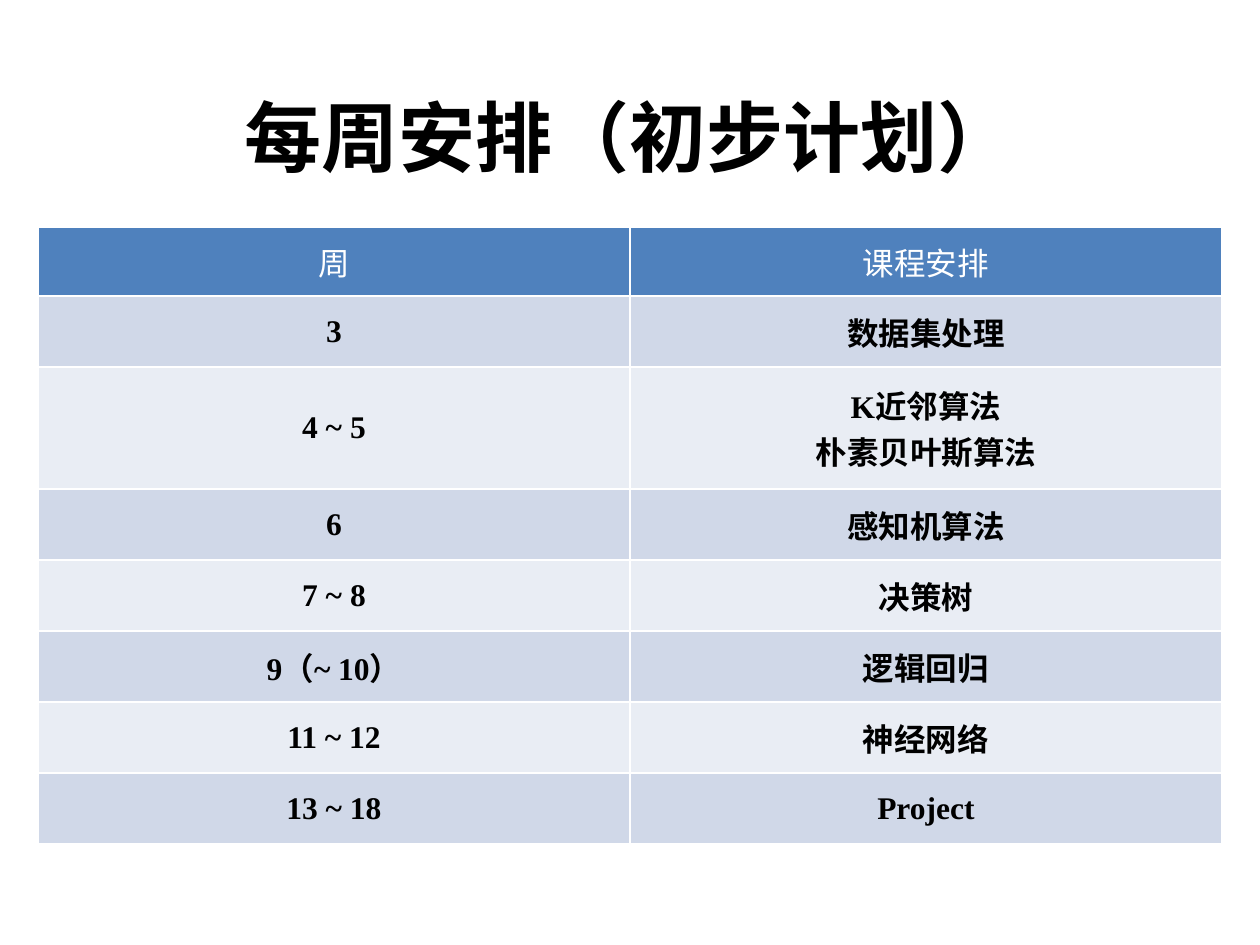
from typing import NamedTuple

from lxml import etree
from pptx import Presentation, util as u
from pptx.dml.color import RGBColor
from pptx.enum import text
from pptx.oxml import ns

PX = u.Inches(1) // 126
BLACK = RGBColor(0x00, 0x00, 0x00)
WHITE = RGBColor(0xFF, 0xFF, 0xFF)
HEADER_BLUE = RGBColor(0x4F, 0x81, 0xBD)
BANDS = (RGBColor(0xE9, 0xED, 0xF4), RGBColor(0xD0, 0xD8, 0xE8))
LATIN_FONT = "Times New Roman"
CHINESE_FONT = "Noto Sans CJK SC"


class Box(NamedTuple):
    left: int
    top: int
    width: int
    height: int

    def emu(self) -> list[int]:
        return [length * PX for length in self]


class Week(NamedTuple):
    weeks: str
    topic: str
    height: int = 71


TITLE_BOX = Box(87, 67, 1086, 137)
TABLE_BOX = Box(38, 227, 1184, 617)
SCHEDULE = (
    Week("周", "课程安排", 69),
    Week("3", "数据集处理"),
    Week("4 ~ 5", "K近邻算法\n朴素贝叶斯算法", 122),
    Week("6", "感知机算法"),
    Week("7 ~ 8", "决策树"),
    Week("9（~ 10）", "逻辑回归"),
    Week("11 ~ 12", "神经网络"),
    Week("13 ~ 18", "Project"),
)


def write(frame, content: str, size: int, latin: str, color: RGBColor, bold: bool) -> None:
    frame.text = content
    for paragraph in frame.paragraphs:
        paragraph.alignment = text.PP_ALIGN.CENTER
        font = paragraph.font
        font.size, font.name, font.bold = u.Pt(size), latin, bold
        font.color.rgb = color
        properties = paragraph._p.pPr.find(ns.qn("a:defRPr"))
        east_asian = etree.SubElement(properties, ns.qn("a:ea"))
        east_asian.set("typeface", CHINESE_FONT)


def add_borders(cell, color: RGBColor) -> None:
    properties = cell._tc.get_or_add_tcPr()
    for side in ("lnL", "lnR", "lnT", "lnB"):
        line = etree.SubElement(properties, ns.qn(f"a:{side}"), w=str(u.Pt(1)))
        fill = etree.SubElement(line, ns.qn("a:solidFill"))
        etree.SubElement(fill, ns.qn("a:srgbClr"), val=str(color))


def add_title(slide, box: Box, content: str) -> None:
    frame = slide.shapes.add_textbox(*box.emu()).text_frame
    frame.word_wrap = True
    frame.vertical_anchor = text.MSO_ANCHOR.MIDDLE
    write(frame, content, 44, CHINESE_FONT, BLACK, True)


def add_schedule(slide, box: Box, schedule: tuple[Week, ...]) -> None:
    table = slide.shapes.add_table(len(schedule), 2, *box.emu()).table
    for row_index, week in enumerate(schedule):
        is_header = row_index == 0
        table.rows[row_index].height = week.height * PX
        for cell, content in zip(table.rows[row_index].cells, (week.weeks, week.topic)):
            add_borders(cell, WHITE)
            cell.fill.solid()
            cell.fill.fore_color.rgb = HEADER_BLUE if is_header else BANDS[row_index % 2]
            cell.vertical_anchor = text.MSO_ANCHOR.MIDDLE
            cell.margin_left = cell.margin_right = 9 * PX
            cell.margin_top = cell.margin_bottom = 5 * PX
            write(cell.text_frame, content, 18, LATIN_FONT,
                  WHITE if is_header else BLACK, not is_header)


def main() -> None:
    presentation = Presentation()
    presentation.slide_width = 1260 * PX
    presentation.slide_height = 945 * PX
    slide = presentation.slides.add_slide(presentation.slide_layouts[6])
    add_title(slide, TITLE_BOX, "每周安排（初步计划）")
    add_schedule(slide, TABLE_BOX, SCHEDULE)
    presentation.save("out.pptx")


if __name__ == "__main__":
    main()
